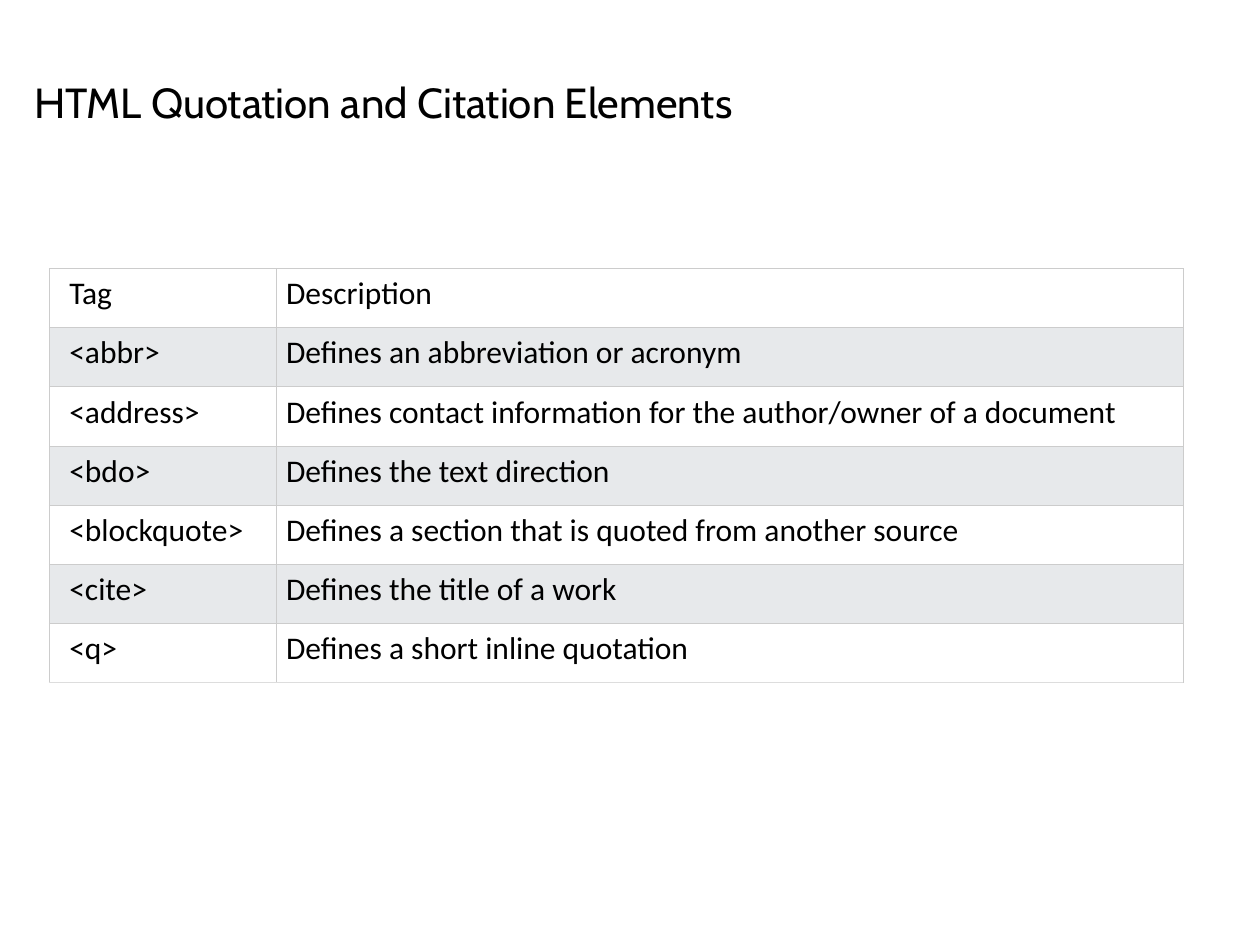
from lxml.etree import SubElement
from pptx import Presentation
from pptx.dml.color import RGBColor
from pptx.enum.text import MSO_ANCHOR, MSO_AUTO_SIZE, PP_ALIGN
from pptx.oxml.ns import qn
from pptx.util import Inches, Pt

ROWS = [
    ("Tag", "Description"),
    ("<abbr>", "Defines an abbreviation or acronym"),
    ("<address>", "Defines contact information for the author/owner of a document"),
    ("<bdo>", "Defines the text direction"),
    ("<blockquote>", "Defines a section that is quoted from another source"),
    ("<cite>", "Defines the title of a work"),
    ("<q>", "Defines a short inline quotation"),
]
COLUMN_WIDTHS = (1.8, 7.2)
LEFT_MARGINS = (0.16, 0.08)
ROW_HEIGHT = 0.47
BAND_FILLS = ("FFFFFF", "E7E9EB")


def set_fill(target, color):
    """Give a shape or cell a solid fill."""
    target.fill.solid()
    target.fill.fore_color.rgb = RGBColor.from_string(color)


def format_text(paragraph, font_name, size):
    """Set left-aligned black text in one font and size."""
    paragraph.alignment = PP_ALIGN.LEFT
    for run in paragraph.runs:
        run.font.name = font_name
        run.font.size = Pt(size)
        run.font.color.rgb = RGBColor.from_string("000000")


def set_borders(cell, bottom_color):
    """Draw thin grey lines on the four sides of a cell."""
    properties = cell._tc.get_or_add_tcPr()
    for side in "LRTB":
        line = SubElement(properties, qn(f"a:ln{side}"), w=str(Pt(0.34)))
        fill = SubElement(line, qn("a:solidFill"))
        color = bottom_color if side == "B" else "CCCCCC"
        SubElement(fill, qn("a:srgbClr"), val=color)


def add_title(slide, text):
    """Place and format the slide title."""
    title = slide.shapes.title
    title.left, title.top = Inches(0.27), Inches(0.51)
    title.width, title.height = Inches(9.23), Inches(0.99)
    set_fill(title, "FFFFFF")
    frame = title.text_frame
    frame.text = text
    frame.word_wrap = True
    frame.auto_size = MSO_AUTO_SIZE.NONE
    frame.vertical_anchor = MSO_ANCHOR.TOP
    frame.margin_left = frame.margin_right = 0
    frame.margin_top = frame.margin_bottom = Inches(0.1)
    format_text(frame.paragraphs[0], "Cabin", 24)


def add_tag_table(slide):
    """Add the banded table of tags and descriptions."""
    table = slide.shapes.add_table(
        len(ROWS), len(COLUMN_WIDTHS), Inches(0.39), Inches(2.13),
        Inches(sum(COLUMN_WIDTHS)), Inches(ROW_HEIGHT * len(ROWS)),
    ).table
    for column, width in zip(table.columns, COLUMN_WIDTHS):
        column.width = Inches(width)
    for row_index, texts in enumerate(ROWS):
        table.rows[row_index].height = Inches(ROW_HEIGHT)
        bottom_color = "DDDDDD" if row_index == len(ROWS) - 1 else "CCCCCC"
        for column_index, text in enumerate(texts):
            cell = table.cell(row_index, column_index)
            cell.text_frame.text = text
            cell.margin_left = Inches(LEFT_MARGINS[column_index])
            cell.margin_right = Inches(0.08)
            cell.margin_top = cell.margin_bottom = Inches(0.05)
            set_borders(cell, bottom_color)
            set_fill(cell, BAND_FILLS[row_index % 2])
            paragraph = cell.text_frame.paragraphs[0]
            format_text(paragraph, "Calibri", 18)
            paragraph.runs[0].font.bold = False


def main():
    """Build and save the presentation."""
    presentation = Presentation()
    presentation.slide_width, presentation.slide_height = Inches(10), Inches(7.5)
    slide = presentation.slides.add_slide(presentation.slide_layouts[5])
    add_title(slide, "HTML Quotation and Citation Elements")
    add_tag_table(slide)
    presentation.save("out.pptx")


if __name__ == "__main__":
    main()
